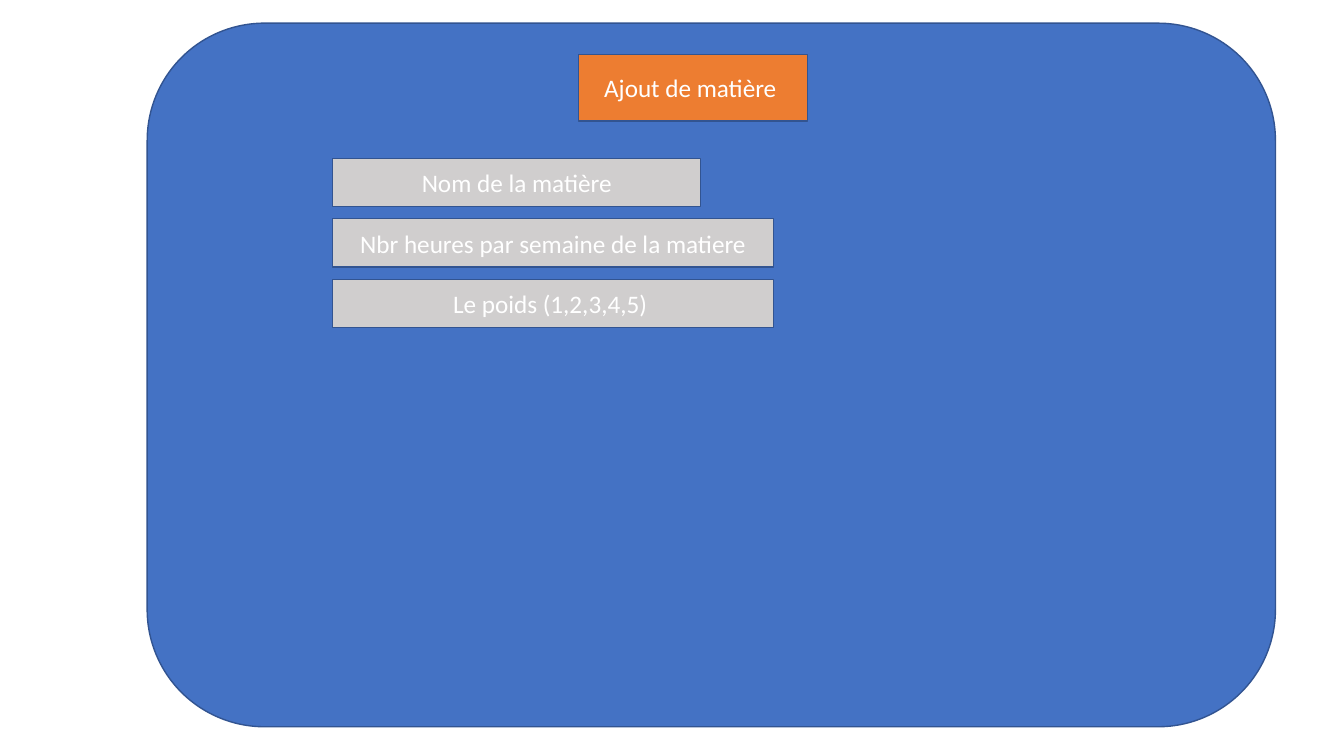
from copy import deepcopy
from pptx import Presentation
from pptx.dml.color import RGBColor
from pptx.enum.shapes import MSO_SHAPE
from pptx.enum.text import MSO_ANCHOR, MSO_AUTO_SIZE, PP_ALIGN
from pptx.util import Inches, Pt

ROUND = MSO_SHAPE.ROUNDED_RECTANGLE
RECT = MSO_SHAPE.RECTANGLE
MIDDLE = MSO_ANCHOR.MIDDLE
CENTER = PP_ALIGN.CENTER
FIXED = MSO_AUTO_SIZE.NONE
BLUE, ORANGE, GRAY = "4472C4", "ED7D31", "D0CECE"
EDGE, WHITE = "325491", "FFFFFF"
ROW_H, PITCH = 0.48, 0.6
FIELDS = [
    ("Nom de la matière", 3.65),
    ("Nbr heures par semaine de la matiere", 4.37),
    ("Le poids (1,2,3,4,5) ", 4.37),
]


def color(code):
    """Turn a hex string into a colour."""
    return RGBColor.from_string(code)


def paint(shape, fill):
    """Fill and outline a shape."""
    shape.fill.solid()
    shape.fill.fore_color.rgb = color(fill)
    shape.line.color.rgb = color(EDGE)
    shape.line.width = Pt(1)


def write(shape, text):
    """Put one centred white line of text in a shape."""
    frame = shape.text_frame
    frame.word_wrap = True
    frame.auto_size = FIXED
    frame.vertical_anchor = MIDDLE
    para = frame.paragraphs[0]
    para.alignment = CENTER
    run = para.add_run()
    run.text = text
    run.font.name = "Calibri"
    run.font.size = Pt(18)
    run.font.color.rgb = color(WHITE)


def add_box(slide, kind, box, fill):
    """Add a painted shape without shadow."""
    shape = slide.shapes.add_shape(kind, *map(Inches, box))
    shape.shadow.inherit = False
    paint(shape, fill)
    return shape


def add_title(slide, panel, box, text):
    """Place the title over the panel, with the panel's outline."""
    title = slide.shapes.title
    title.left, title.top, title.width, title.height = map(Inches, box)
    title._element.spPr.insert(1, deepcopy(panel._element.spPr.prstGeom))
    paint(title, ORANGE)
    write(title, text)
    panel._element.addnext(title._element)


def add_fields(slide, left, top):
    """Stack the form fields from a corner."""
    for i, (text, width) in enumerate(FIELDS):
        box = (left, top + i * PITCH, width, ROW_H)
        write(add_box(slide, RECT, box, GRAY), text)


def add_form(slide, box):
    """Draw the form panel with its title and fields."""
    left, top, _, _ = box
    panel = add_box(slide, ROUND, box, BLUE)
    head = (left + 4.28, top + 0.31, 2.27, 0.66)
    add_title(slide, panel, head, "Ajout de matière ")
    add_fields(slide, left + 1.84, top + 1.34)


deck = Presentation()
deck.slide_width, deck.slide_height = Inches(13.33), Inches(7.5)
page = deck.slides.add_slide(deck.slide_layouts[5])
add_form(page, (1.46, 0.23, 11.19, 6.98))
deck.save("out.pptx")
